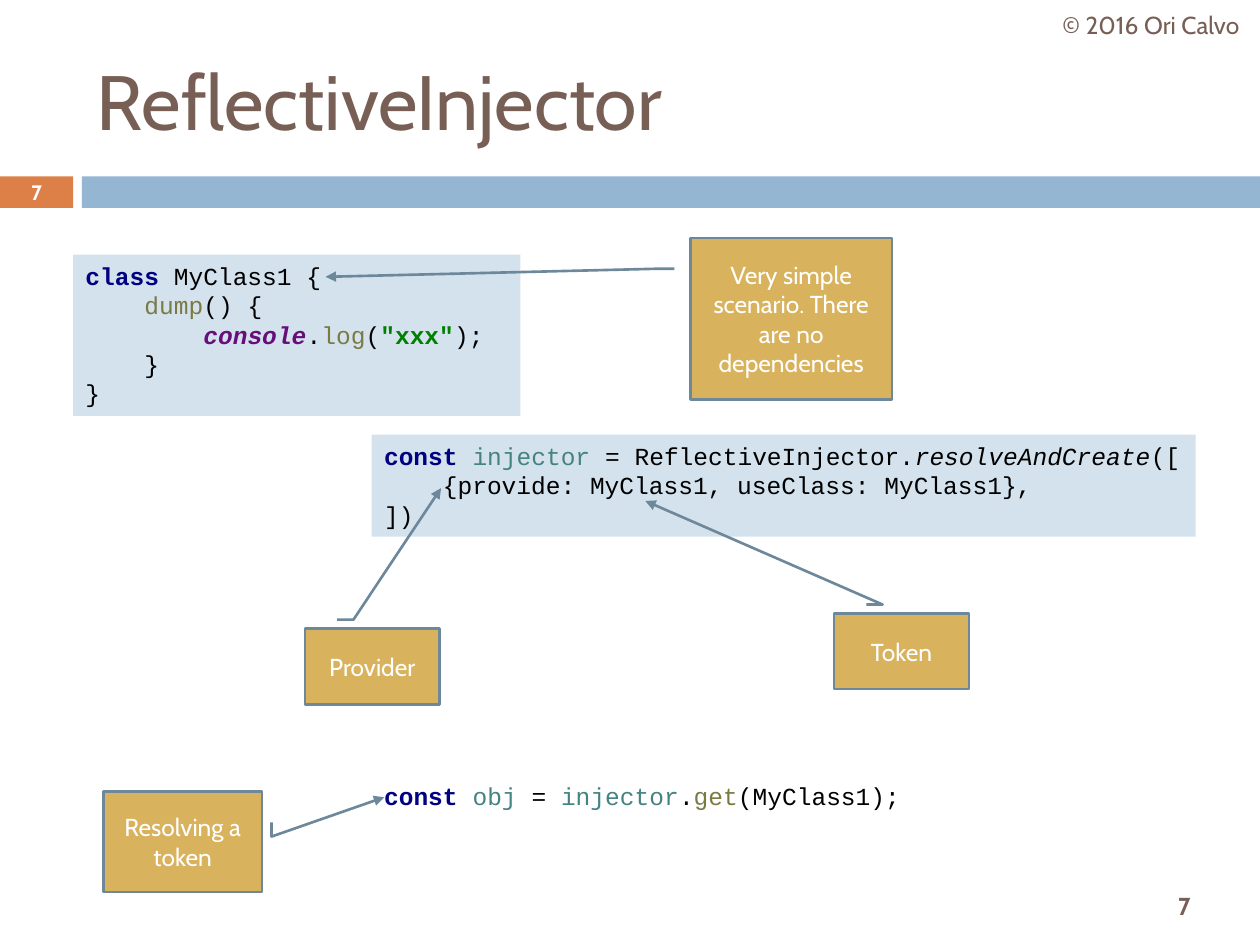
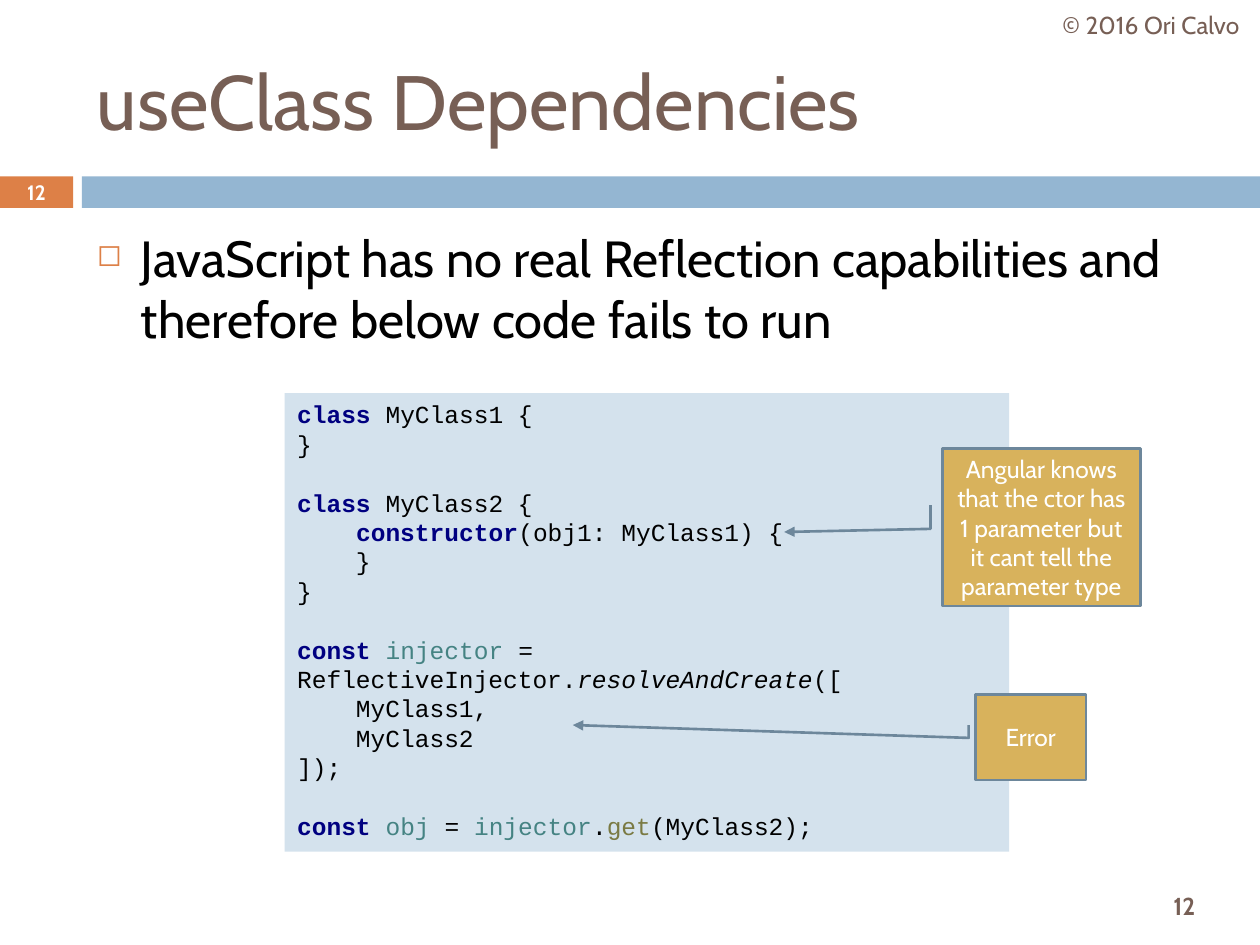
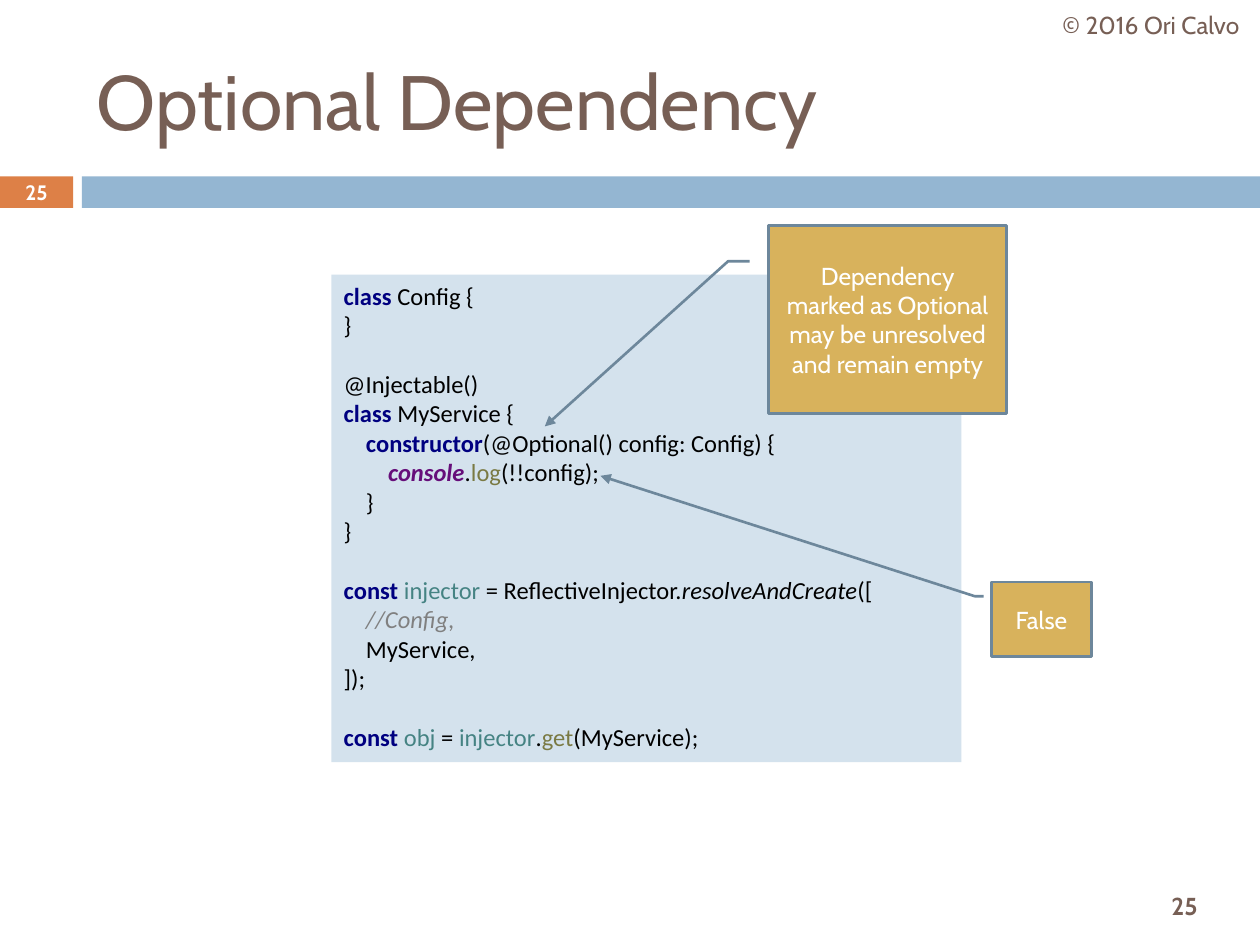
from lxml import etree
from pptx import Presentation
from pptx import util as u
from pptx.dml.color import RGBColor
from pptx.enum import shapes, text
from pptx.oxml.ns import qn

PX = 9144  # 100 px to the inch
WIDE, HIGH = 1000, 750
FONT, MONO = "Cabin", "Courier New"
HUES = {
    "brown": "775F55", "orange": "DD8047", "blue": "94B6D2", "pale": "D4E2ED",
    "gold": "D8B25C", "slate": "6D879B", "white": "FFFFFF", "black": "000000",
    "navy": "000080", "teal": "458383", "olive": "7A7A43", "purple": "660E7A",
    "green": "008000", "grey": "808080",
}

# Code token: colour, bold, italic
PLAIN = ("black", False, False)
TOKENS = {
    **dict.fromkeys(["class", "const", "constructor"], ("navy", True, False)),
    **dict.fromkeys(["injector", "obj"], ("teal", False, False)),
    **dict.fromkeys(["dump", "log", "get"], ("olive", False, False)),
    "console": ("purple", True, True),
    "resolveAndCreate": ("black", False, True),
    '"xxx"': ("green", True, False),
    "//Config,": ("grey", False, True),
}

# Callout leader: y, x of its start and its elbow, as shares of the box
LEFT = (0.19, -0.08, 0.19, -0.17)
LOW = (0.36, -0.06, 0.51, -0.06)
TOP = (-0.12, 0.24, -0.12, 0.36)
RIGHT = (0.31, 1.06, 0.45, 1.06)

# Bars part the coloured tokens
SIMPLE = """\
|class| MyClass1 {
    |dump|() {
        |console|.|log|(|"xxx"|);
    }
}"""
CREATE = """\
|const| |injector| = ReflectiveInjector.|resolveAndCreate|([
    {provide: MyClass1, useClass: MyClass1},
])"""
RESOLVE = "|const| |obj| = |injector|.|get|(MyClass1);"
DEPENDS = """\
|class| MyClass1 {
}

|class| MyClass2 {
    |constructor|(obj1: MyClass1) {
    }
}

|const| |injector| = ReflectiveInjector.|resolveAndCreate|([
    MyClass1,
    MyClass2
]);

|const| |obj| = |injector|.|get|(MyClass2);"""
OPTION = """\
|class| Config {
}

@Injectable()
|class| MyService {
    |constructor|(@Optional() config: Config) {
        |console|.|log|(!!config);
    }
}

|const| |injector| = ReflectiveInjector.|resolveAndCreate|([
    |//Config,|
    MyService,
]);

|const| |obj| = |injector|.|get|(MyService);"""


def tone(name):
    return RGBColor.from_string(HUES[name])


def emu(box):
    return [n * PX for n in box]


def style(font, size, hue, bold=False, italic=False, face=FONT):
    font.name, font.size, font.bold, font.italic = face, u.Pt(size), bold, italic
    font.color.rgb = tone(hue)


def block(slide, box, fill, kind=shapes.MSO_SHAPE.RECTANGLE):
    """Add a filled shape with no line and no shadow."""
    shape = slide.shapes.add_shape(kind, *emu(box))
    shape.shadow.inherit = False
    shape.fill.solid()
    shape.fill.fore_color.rgb = tone(fill)
    shape.line.fill.background()
    return shape


def write(frame, words, size, hue, bold=False, center=True):
    """Set one paragraph, centred upright in its box."""
    frame.word_wrap = True
    frame.vertical_anchor = text.MSO_ANCHOR.MIDDLE
    frame.text = words
    para = frame.paragraphs[0]
    para.alignment = text.PP_ALIGN.CENTER if center else text.PP_ALIGN.LEFT
    for run in para.runs:
        style(run.font, size, hue, bold)
    return para


def label(slide, box, *args, **opts):
    frame = slide.shapes.add_textbox(*emu(box)).text_frame
    return write(frame, *args, **opts)


def base(deck, title, page):
    """Add a slide with its title, bands, credit and page numbers."""
    slide = deck.slides.add_slide(deck.slide_layouts[6])
    block(slide, (0, 140, 58, 25), "orange")
    block(slide, (65, 140, WIDE - 65, 25), "blue")
    label(slide, (894, 698, 92, 42), page, 14, "brown", bold=True)
    label(slide, (67, 25, 892, 108), title, 44, "brown", center=False)
    label(slide, (827, 0, 173, 40), "© 2016 Ori Calvo", 14, "brown")
    label(slide, (0, 139, 58, 27), page, 11.9, "white", bold=True)
    return slide


def bullet(slide, box, words):
    para = label(slide, box, words, 29, "black", center=False)
    slide.shapes[-1].text_frame.vertical_anchor = text.MSO_ANCHOR.TOP
    props = para._p.get_or_add_pPr()
    props.set("marL", str(35 * PX))
    props.set("indent", str(-35 * PX))
    hue = etree.SubElement(props, qn("a:buClr"))
    etree.SubElement(hue, qn("a:srgbClr"), val=HUES["orange"])
    etree.SubElement(props, qn("a:buSzPct"), val="60000")
    etree.SubElement(props, qn("a:buChar"), char="◻")


def code(slide, box, source, face=MONO, fill="pale"):
    """Show source with coloured tokens; without a fill it does not wrap."""
    if fill:
        shape = block(slide, box, fill)
    else:
        shape = slide.shapes.add_textbox(*emu(box))
    frame = shape.text_frame
    frame.word_wrap = bool(fill)
    frame.vertical_anchor = text.MSO_ANCHOR.TOP
    para = frame.paragraphs[0]
    para.alignment = text.PP_ALIGN.LEFT
    style(para.font, 14, "black", face=face)
    for row, line in enumerate(source.split("\n")):
        if row:
            para.add_line_break()
        for part in filter(None, line.split("|")):
            run = para.add_run()
            run.text = part
            style(run.font, 14, *TOKENS.get(part, PLAIN), face=face)
    # Breaks take the size of the code, so empty lines keep its height
    for gap in para._p.findall(qn("a:br")):
        props = etree.SubElement(gap, qn("a:rPr"), sz="1400")
        etree.SubElement(props, qn("a:latin"), typeface=face)


def callout(slide, box, words, path, tip):
    """Add a note whose leader follows path and ends in an arrow at tip."""
    shape = block(slide, box, "gold", shapes.MSO_SHAPE.LINE_CALLOUT_2)
    for spot, share in enumerate(path + tip):
        shape.adjustments[spot] = share
    shape.line.color.rgb = tone("slate")
    shape.line.width = u.Pt(1.5)
    etree.SubElement(shape.line._get_or_add_ln(), qn("a:tailEnd"), type="triangle")
    write(shape.text_frame, words, 14, "white")


def inject(deck):
    slide = base(deck, "ReflectiveInjector", "7")
    code(slide, (58, 202, 355, 128), SIMPLE)
    code(slide, (295, 345, 654, 81), CREATE)
    code(slide, (295, 615, 431, 34), RESOLVE, fill=None)
    callout(slide, (662, 487, 107, 60), "Token", TOP, (-1.49, -1.4))
    callout(slide, (548, 189, 160, 128),
            "Very simple scenario. There are no dependencies", LEFT, (0.24, -1.81))
    callout(slide, (82, 628, 126, 80), "Resolving a token", RIGHT, (0.06, 1.77))
    callout(slide, (242, 499, 107, 60), "Provider", TOP, (-1.86, 1.01))


def depend(deck):
    slide = base(deck, "useClass Dependencies", "12")
    bullet(slide, (67, 175, 892, 129),
           "JavaScript has no real Reflection capabilities and "
           "therefore below code fails to run")
    code(slide, (226, 312, 575, 364), DEPENDS)
    callout(slide, (748, 356, 157, 125),
            "Angular knows that the ctor has 1 parameter but "
            "it cant tell the parameter type", LOW, (0.53, -0.8))
    callout(slide, (774, 551, 88, 68), "Error", LOW, (0.36, -3.63))


def option(deck):
    slide = base(deck, "Optional Dependency", "25")
    code(slide, (263, 218, 500, 387), OPTION, face="Calibri")
    callout(slide, (787, 462, 79, 59), "False", LEFT, (-1.43, -3.93))
    callout(slide, (610, 179, 189, 149),
            "Dependency marked as Optional may be unresolved and remain empty",
            LEFT, (1.07, -0.94))


def main():
    deck = Presentation()
    deck.slide_width, deck.slide_height = emu((WIDE, HIGH))
    for build in (inject, depend, option):
        build(deck)
    deck.save("out.pptx")


if __name__ == "__main__":
    main()
